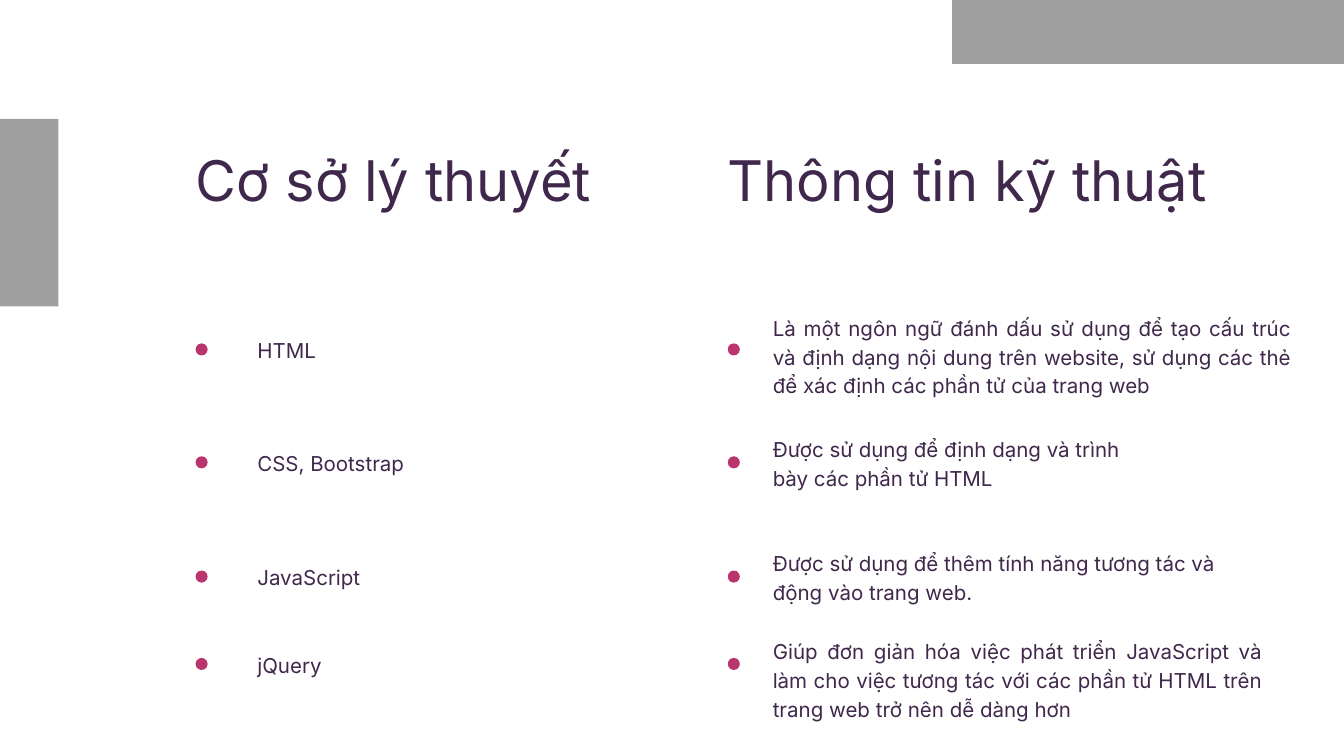
from pptx import Presentation
from pptx.dml.color import RGBColor
from pptx.enum.shapes import MSO_SHAPE
from pptx.enum.text import MSO_ANCHOR, MSO_AUTO_SIZE, PP_ALIGN
from pptx.util import Inches, Pt

PURPLE = RGBColor(0x3F, 0x28, 0x4B)
PINK = RGBColor(0xBA, 0x35, 0x6D)
GRAY = RGBColor(0x9F, 0x9F, 0x9F)
FONT = "Inter"

# Content
THEORY_HEADING = "Cơ sở lý thuyết"
TECH_HEADING = "Thông tin kỹ thuật"
LEFT, JUSTIFY = PP_ALIGN.LEFT, PP_ALIGN.JUSTIFY
# Bullet centre, label, description, its top, width, height and alignment
TOPICS = [
    (5.2, "HTML",
     "Là một ngôn ngữ đánh dấu sử dụng để tạo cấu trúc và định dạng nội dung "
     "trên website, sử dụng các thẻ để xác định các phần tử của trang web",
     4.64, 7.71, 1.26, JUSTIFY),
    (6.88, "CSS, Bootstrap",
     "Được sử dụng để định dạng và trình bày các phần tử HTML",
     6.44, 5.34, 0.83, LEFT),
    (8.58, "JavaScript",
     "Được sử dụng để thêm tính năng tương tác và động vào trang web.",
     8.14, 7.28, 0.83, LEFT),
    (9.88, "jQuery",
     "Giúp đơn giản hóa việc phát triển JavaScript và làm cho việc tương tác "
     "với các phần tử HTML trên trang web trở nên dễ dàng hơn",
     9.45, 7.28, 1.26, JUSTIFY),
]
GRAY_BLOCKS = [(-1.2, 1.77, 2.07, 2.79), (14.17, -1.84, 7.67, 2.79)]

# Layout
THEORY_X, LABEL_X = 2.91, 3.83
TECH_X, DESCRIPTION_X = 10.83, 11.5
HEADING_Y, HEADING_H = 2.16, 1.01
DOT = 0.18

prs = Presentation()
prs.slide_width, prs.slide_height = Inches(20), Inches(11.25)
s = prs.slides.add_slide(prs.slide_layouts[5])


def add_text(text, x, y, w, h, *, size=22, spacing=30.8, align=LEFT, sp=None):
    """Write text into a new box, or into the given placeholder."""
    if sp is None:
        sp = s.shapes.add_textbox(0, 0, 0, 0)
    sp.left, sp.top, sp.width, sp.height = map(Inches, (x, y, w, h))
    tf = sp.text_frame
    tf.margin_left = tf.margin_top = tf.margin_right = tf.margin_bottom = 0
    tf.word_wrap = True
    tf.auto_size = MSO_AUTO_SIZE.NONE
    tf.vertical_anchor = MSO_ANCHOR.TOP
    p = tf.paragraphs[0]
    p.alignment = align
    p.line_spacing = Pt(spacing)
    r = p.add_run()
    r.text = text
    r.font.name, r.font.size = FONT, Pt(size)
    r.font.color.rgb = PURPLE


def add_block(kind, x, y, w, h, color):
    sp = s.shapes.add_shape(kind, *map(Inches, (x, y, w, h)))
    sp.shadow.inherit = False
    sp.fill.solid()
    sp.fill.fore_color.rgb = color
    sp.line.fill.background()


# Column headings
heading = {"size": 60, "spacing": 72}
add_text(THEORY_HEADING, THEORY_X, HEADING_Y, 6.26, HEADING_H,
         sp=s.shapes.title, **heading)
add_text(TECH_HEADING, TECH_X, HEADING_Y, 8.38, HEADING_H, **heading)

# Topic rows
for center, label, description, top, width, height, align in TOPICS:
    for x in (THEORY_X, TECH_X):
        add_block(MSO_SHAPE.OVAL, x, center - DOT / 2, DOT, DOT, PINK)
    add_text(label, LABEL_X, center - 0.23, 5.34, 0.41)
    add_text(description, DESCRIPTION_X, top, width, height, align=align)

# Gray blocks at the slide edges
for block in GRAY_BLOCKS:
    add_block(MSO_SHAPE.RECTANGLE, *block, GRAY)

prs.save("out.pptx")
